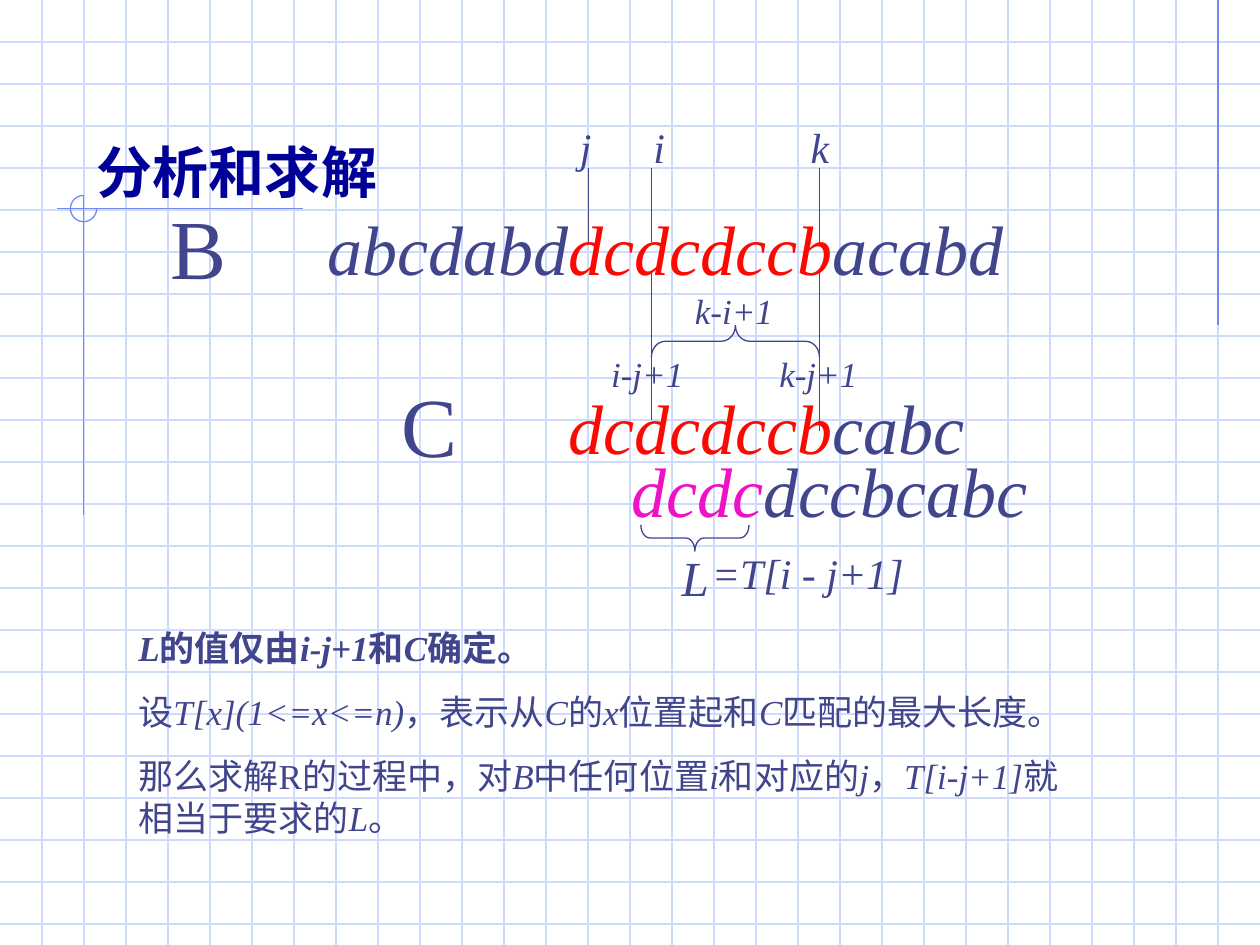
from lxml.etree import SubElement
from pptx import Presentation
from pptx.dml.color import RGBColor
from pptx.enum.shapes import MSO_CONNECTOR as Connector, MSO_SHAPE as Shape
from pptx.enum.text import MSO_ANCHOR as Anchor, MSO_AUTO_SIZE as AutoSize, PP_ALIGN as Align
from pptx.oxml.ns import qn
from pptx.util import Cm, Pt

COLORS = {
    "grid": "CFDBFD",
    "ornament": "6F89F7",
    "title": "000099",
    "ink": "40458C",
    "match": "FD0903",
    "prefix": "EF11C5",
}
SERIF = "Times New Roman"
WIDTH, HEIGHT = 25.4, 19.05
GRID_COLUMNS = 30


def rgb(name):
    return RGBColor.from_string(COLORS[name])


def add_run(paragraph, text, size=20, font=SERIF, color="ink", bold=False, italic=False):
    run = paragraph.add_run()
    run.text = text
    run.font.size = Pt(size)
    run.font.name = font
    run.font.bold = bold
    run.font.italic = italic
    run.font.color.rgb = rgb(color)


def add_text(slide, left, top, width, height, runs, **text_format):
    """Add a text box; runs is a string or a list of (text, color) pairs."""
    box = slide.shapes.add_textbox(Cm(left), Cm(top), Cm(width), Cm(height))
    box.text_frame.word_wrap = True
    if isinstance(runs, str):
        runs = [(runs, "ink")]
    for text, color in runs:
        add_run(box.text_frame.paragraphs[0], text, color=color, **text_format)
    return box


def add_line(slide, x1, y1, x2, y2, color="ink"):
    line = slide.shapes.add_connector(Connector.STRAIGHT, Cm(x1), Cm(y1), Cm(x2), Cm(y2))
    line.line.color.rgb = rgb(color)
    line.line.width = Pt(0.75)
    SubElement(line._element.spPr, qn("a:effectLst"))


def add_outline(slide, kind, left, top, width, height, color="ink"):
    shape = slide.shapes.add_shape(kind, Cm(left), Cm(top), Cm(width), Cm(height))
    shape.shadow.inherit = False
    shape.fill.background()
    shape.line.color.rgb = rgb(color)
    shape.line.width = Pt(0.75)
    return shape


def add_brace(slide, left, top, width, height, rotation):
    """Add a horizontal brace filling the box: 90 points up, 270 points down."""
    brace = add_outline(slide, Shape.LEFT_BRACE, left + (width - height) / 2,
                        top + (height - width) / 2, height, width)
    brace.rotation = rotation
    brace.adjustments[0] = width / height / 12


def draw_background(slide, width, height):
    # Square grid
    step = width / GRID_COLUMNS
    for row in range(1, int(height / step) + 1):
        add_line(slide, 0, row * step, width, row * step, "grid")
    for column in range(1, GRID_COLUMNS):
        add_line(slide, column * step, 0, column * step, height, "grid")
    # Right rule, title rule, left rule and open circle
    add_line(slide, width - step, 0, width - step, 6.55, "ornament")
    add_line(slide, 1.14, 4.2, 6.1, 4.2, "ornament")
    add_line(slide, 1.68, 3.94, 1.68, 10.39, "ornament")
    circle = add_outline(slide, Shape.ARC, 1.42, 3.94, 0.53, 0.53, "ornament")
    circle.adjustments[0] = 0
    circle.adjustments[1] = 162  # 270 degrees


def place_title(slide, left, top, width, height):
    title = slide.shapes.title
    title.left, title.top, title.width, title.height = map(Cm, (left, top, width, height))
    frame = title.text_frame
    frame.auto_size = AutoSize.NONE
    frame.vertical_anchor = Anchor.BOTTOM
    frame.paragraphs[0].alignment = Align.LEFT
    add_run(frame.paragraphs[0], "分析和求解", size=32, font="Cabin", color="title", bold=True)
    slide.shapes._spTree.append(title._element)  # in front of the grid


def draw_notes(slide, left, top, width, height):
    # Bars separate upright and italic parts
    notes = [
        "|L|的值仅由|i-j+1|和|C|确定。",
        "设|T[x](1<=x<=n)|，表示从|C|的|x|位置起和|C|匹配的最大长度。",
        "那么求解R的过程中，对|B|中任何位置|i|和对应的|j|，|T[i-j+1]|就相当于要求的|L|。",
    ]
    frame = add_text(slide, left, top, width, height, []).text_frame
    for number, note in enumerate(notes):
        paragraph = frame.add_paragraph() if number else frame.paragraphs[0]
        paragraph.space_before = Pt(12.5)
        for index, part in enumerate(note.split("|")):
            if part:
                add_run(paragraph, part, bold=number == 0, italic=index % 2 == 1)


def draw_matching(slide, left, top):
    # Names of the strings
    for name, x, y in [("B", 0, 1.48), ("C", 4.66, 5.08)]:
        add_text(slide, left + x, top + y, 2.74, 2.29, name, size=48)

    # Strings with their matching parts
    strings = [
        (3.18, 1.69, 14.6, [("abcdabd", "ink"), ("dcdcdccb", "match"), ("acabd", "ink")]),
        (8.04, 5.29, 11.86, [("dcdcdccb", "match"), ("cabc", "ink")]),
        (9.31, 6.56, 11.86, [("dcdc", "prefix"), ("dccbcabc", "ink")]),
    ]
    for x, y, width, runs in strings:
        add_text(slide, left + x, top + y, width, 1.96, runs, size=40, italic=True)

    # Position lines
    columns = {"j": 8.68, "i": 9.95, "k": 13.34}
    line_tops = {"j": [1.06], "i": [1.06, 3.18, 4.66], "k": [1.06, 3.18, 3.39, 4.87]}
    for name, x in columns.items():
        for y in line_tops[name]:
            add_line(slide, left + x, top + y, left + x, top + y + 1.48)

    # Braces
    add_brace(slide, left + columns["i"], top + 4.23, columns["k"] - columns["i"], 0.64, 90)
    add_brace(slide, left + 9.74, top + 8.25, 2.18, 0.53, 270)

    # Labels
    labels = [
        ("j", 8.26, 0, 1.9, 24), ("i", 9.74, 0, 1.48, 24), ("k", 12.91, 0, 1.48, 24),
        ("k-i+1", 10.58, 3.39, 3.6, 20),
        ("i-j+1", 8.89, 4.66, 2.54, 20), ("k-j+1", 12.28, 4.66, 2.96, 20),
        ("L", 10.31, 8.59, 1.27, 28), ("=T[i - j+1]", 10.92, 8.59, 4.66, 24),
    ]
    for text, x, y, width, size in labels:
        add_text(slide, left + x, top + y, width, size * 0.05, text, size=size, italic=True)


def main():
    presentation = Presentation()
    presentation.slide_width, presentation.slide_height = Cm(WIDTH), Cm(HEIGHT)
    slide = presentation.slides.add_slide(presentation.slide_layouts[5])
    draw_background(slide, WIDTH, HEIGHT)
    place_title(slide, 1.7, 1.07, 21.87, 3.18)
    draw_notes(slide, 2.54, 12.5, 19.69, 5.38)
    draw_matching(slide, 3.18, 2.33)
    presentation.save("out.pptx")


if __name__ == "__main__":
    main()
